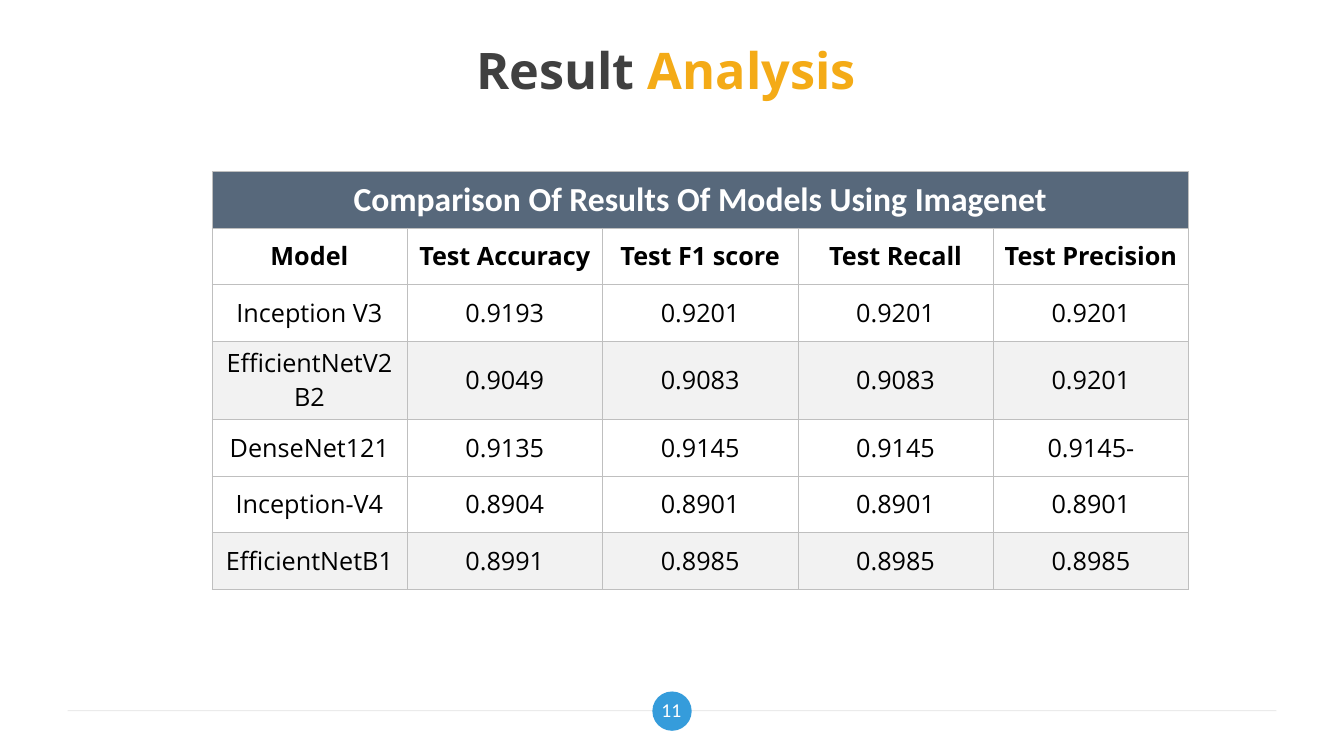
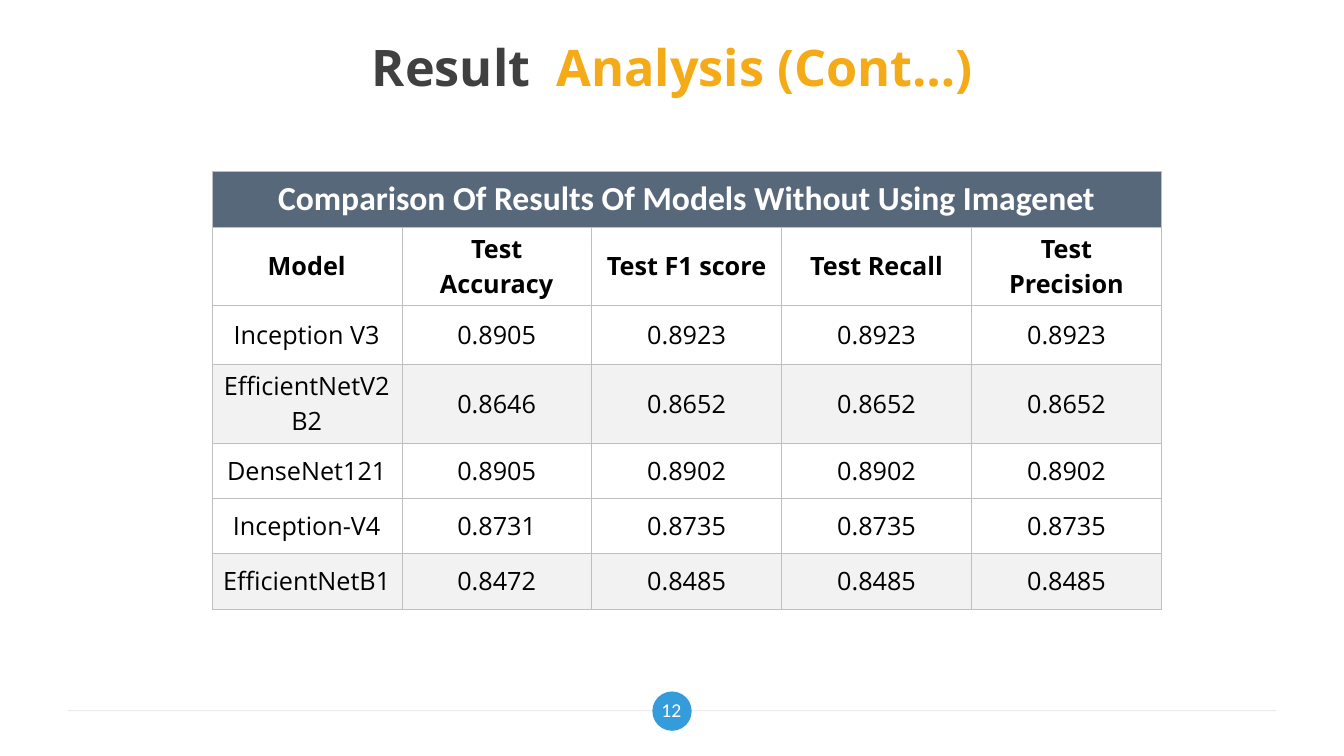
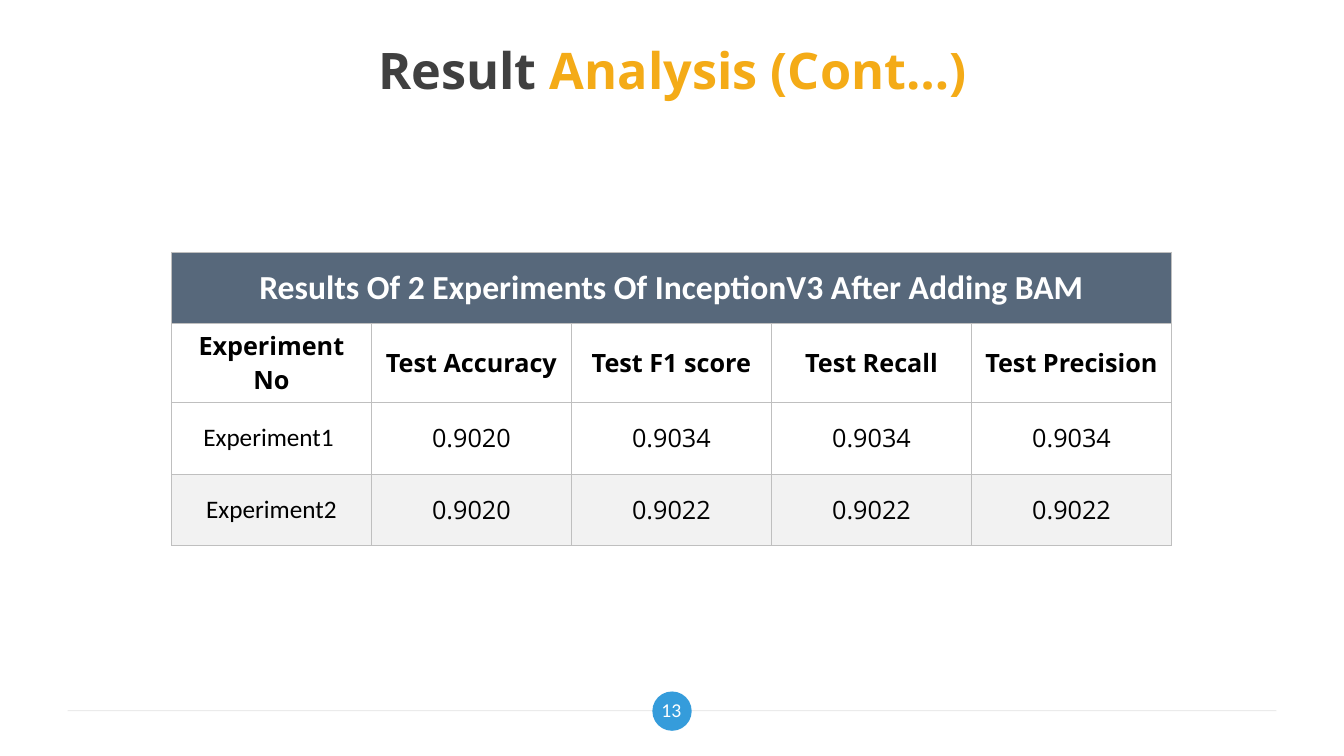
from lxml.etree import SubElement
from pptx import Presentation
from pptx.dml.color import RGBColor
from pptx.enum.shapes import MSO_CONNECTOR, MSO_SHAPE
from pptx.enum.text import MSO_ANCHOR, MSO_AUTO_SIZE, PP_ALIGN
from pptx.oxml.ns import qn
from pptx.util import Inches, Pt

WHITE = RGBColor(0xFF, 0xFF, 0xFF)
BLACK = RGBColor(0x00, 0x00, 0x00)
CHARCOAL = RGBColor(0x40, 0x40, 0x40)
AMBER = RGBColor(0xF4, 0xAB, 0x17)
BLUE = RGBColor(0x35, 0x9C, 0xDB)
SLATE = RGBColor(0x57, 0x68, 0x7B)
PALE_GRAY = RGBColor(0xF2, 0xF2, 0xF2)
BORDER_GRAY = RGBColor(0xBF, 0xBF, 0xBF)
RULE_GRAY = RGBColor(0xD9, 0xD9, 0xD9)

HEADING_FONT = "Open Sans"
BODY_FONT = "Calibri"
METRICS = ["Test Accuracy", "Test F1 score", "Test Recall", "Test Precision"]
FOOTER_BOX = (0.67, 6.83, 11.99, 0.42)

RESULTS = [
    {
        "number": 11,
        "title": ("Result", " Analysis "),
        "title_top": 0.3,
        "box": (2.1, 1.7, 9.69),
        "heights": [0.56] * 7,
        "heading": "Comparison Of Results Of Models Using Imagenet",
        "label": "Model",
        "label_font": HEADING_FONT,
        "rows": [
            ["Inception V3", "0.9193", "0.9201", "0.9201", "0.9201"],
            ["EfficientNetV2B2", "0.9049", "0.9083", "0.9083", "0.9201"],
            ["DenseNet121", "0.9135", "0.9145", "0.9145", "0.9145-"],
            ["Inception-V4", "0.8904", "0.8901", "0.8901", "0.8901"],
            ["EfficientNetB1", "0.8991", "0.8985", "0.8985", "0.8985"],
        ],
        "shaded": {1, 4},
    },
    {
        "number": 12,
        "title": ("Result ", " Analysis (Cont…)"),
        "title_top": 0.27,
        "box": (2.1, 1.7, 9.42),
        "heights": [0.55, 0.55, 0.58, 0.55, 0.55, 0.55, 0.55],
        "heading": "Comparison Of Results Of Models Without Using Imagenet",
        "label": "Model",
        "label_font": HEADING_FONT,
        "rows": [
            ["Inception V3", "0.8905", "0.8923", "0.8923", "0.8923"],
            ["EfficientNetV2B2", "0.8646", "0.8652", "0.8652", "0.8652"],
            ["DenseNet121", "0.8905", "0.8902", "0.8902", "0.8902"],
            ["Inception-V4", "0.8731", "0.8735", "0.8735", "0.8735"],
            ["EfficientNetB1", "0.8472", "0.8485", "0.8485", "0.8485"],
        ],
        "shaded": {1, 4},
    },
    {
        "number": 13,
        "title": ("Result", " Analysis (Cont…)"),
        "title_top": 0.3,
        "box": (1.7, 2.5, 9.92),
        "heights": [0.71] * 4,
        "heading": "Results Of 2 Experiments Of InceptionV3 After Adding BAM",
        "label": "Experiment No",
        "label_font": BODY_FONT,
        "rows": [
            ["Experiment1 ", "0.9020", "0.9034", "0.9034", "0.9034"],
            ["Experiment2", "0.9020", "0.9022", "0.9022", "0.9022"],
        ],
        "shaded": {1},
    },
]


def add_span(para, text, size, font, color, bold=False):
    """Append one formatted run to a centred paragraph."""
    para.alignment = PP_ALIGN.CENTER
    span = para.add_run()
    span.text = text
    span.font.size = Pt(size)
    span.font.name = font
    span.font.bold = bold
    span.font.color.rgb = color


def set_frame(frame):
    """Give a text frame the shared insets and middle anchor."""
    frame.word_wrap = True
    frame.auto_size = MSO_AUTO_SIZE.NONE
    frame.vertical_anchor = MSO_ANCHOR.MIDDLE
    frame.margin_left = frame.margin_right = Inches(0.13)
    frame.margin_top = frame.margin_bottom = Inches(0.07)


def add_title(page, words, top):
    """Place the two-coloured title."""
    title = page.shapes.title
    title.left, title.top = Inches(0.67), Inches(top)
    title.width, title.height = Inches(12), Inches(0.78)
    set_frame(title.text_frame)
    for text, color in zip(words, (CHARCOAL, AMBER)):
        add_span(title.text_frame.paragraphs[0], text, 36, HEADING_FONT, color, True)


def add_footer(page, box, number):
    """Draw the rule, the disc and the page number inside the footer box."""
    left, top, width, height = box
    rule_top = Inches(top + 0.22)
    rule = page.shapes.add_connector(
        MSO_CONNECTOR.STRAIGHT, Inches(left), rule_top, Inches(left + width), rule_top)
    rule.line.color.rgb = RULE_GRAY
    rule.line.width = Pt(0.75)
    color = next(rule.element.iter(qn("a:srgbClr")))
    SubElement(color, qn("a:alpha"), val="50000")
    SubElement(rule.element.spPr, qn("a:effectLst"))

    disc = page.shapes.add_shape(
        MSO_SHAPE.OVAL, Inches(left + 5.8), Inches(top + 0.03), Inches(0.39), Inches(0.39))
    disc.shadow.inherit = False
    disc.fill.solid()
    disc.fill.fore_color.rgb = BLUE
    disc.line.fill.background()

    label = page.shapes.add_textbox(
        Inches(left + 5.71), Inches(top), Inches(0.56), Inches(height))
    set_frame(label.text_frame)
    add_span(label.text_frame.paragraphs[0], str(number), 14, BODY_FONT, WHITE)


def set_cell(cell, text, fill, size, font, color, bold):
    """Write, border and fill one table cell."""
    properties = cell._tc.get_or_add_tcPr()
    for side in ("a:lnL", "a:lnR", "a:lnT", "a:lnB"):
        edge = SubElement(properties, qn(side), w=str(Pt(0.25)))
        paint = SubElement(edge, qn("a:solidFill"))
        SubElement(paint, qn("a:srgbClr"), val=str(BORDER_GRAY))
    cell.fill.solid()
    cell.fill.fore_color.rgb = fill
    cell.vertical_anchor = MSO_ANCHOR.MIDDLE
    if text:
        add_span(cell.text_frame.paragraphs[0], text, size, font, color, bold)


def add_results_table(page, result):
    """Build the table with its merged heading, column labels and scores."""
    left, top, width = result["box"]
    heights = result["heights"]
    columns = 1 + len(METRICS)
    table = page.shapes.add_table(
        len(heights), columns, Inches(left), Inches(top),
        Inches(width), Inches(sum(heights))).table
    for column in table.columns:
        column.width = Inches(width / columns)
    for row, height in zip(table.rows, heights):
        row.height = Inches(height)

    table.cell(0, 0).merge(table.cell(0, columns - 1))
    heading = [result["heading"]] + [""] * len(METRICS)
    for cell, text in zip(table.rows[0].cells, heading):
        set_cell(cell, text, SLATE, 24, BODY_FONT, WHITE, True)
    for cell, text in zip(table.rows[1].cells, [result["label"]] + METRICS):
        set_cell(cell, text, WHITE, 18, HEADING_FONT, BLACK, True)
    for index, values in enumerate(result["rows"]):
        fill = PALE_GRAY if index in result["shaded"] else WHITE
        fonts = [result["label_font"]] + [HEADING_FONT] * len(METRICS)
        for cell, text, font in zip(table.rows[index + 2].cells, values, fonts):
            set_cell(cell, text, fill, 18, font, BLACK, False)


def add_result_page(deck, result):
    """Add one title-only slide with its footer and results table."""
    page = deck.slides.add_slide(deck.slide_layouts.get_by_name("Title Only"))
    add_footer(page, FOOTER_BOX, result["number"])
    add_title(page, result["title"], result["title_top"])
    add_results_table(page, result)


def main():
    """Build and save the deck."""
    deck = Presentation()
    deck.slide_width, deck.slide_height = Inches(13.33), Inches(7.5)
    for result in RESULTS:
        add_result_page(deck, result)
    deck.save("out.pptx")


if __name__ == "__main__":
    main()
